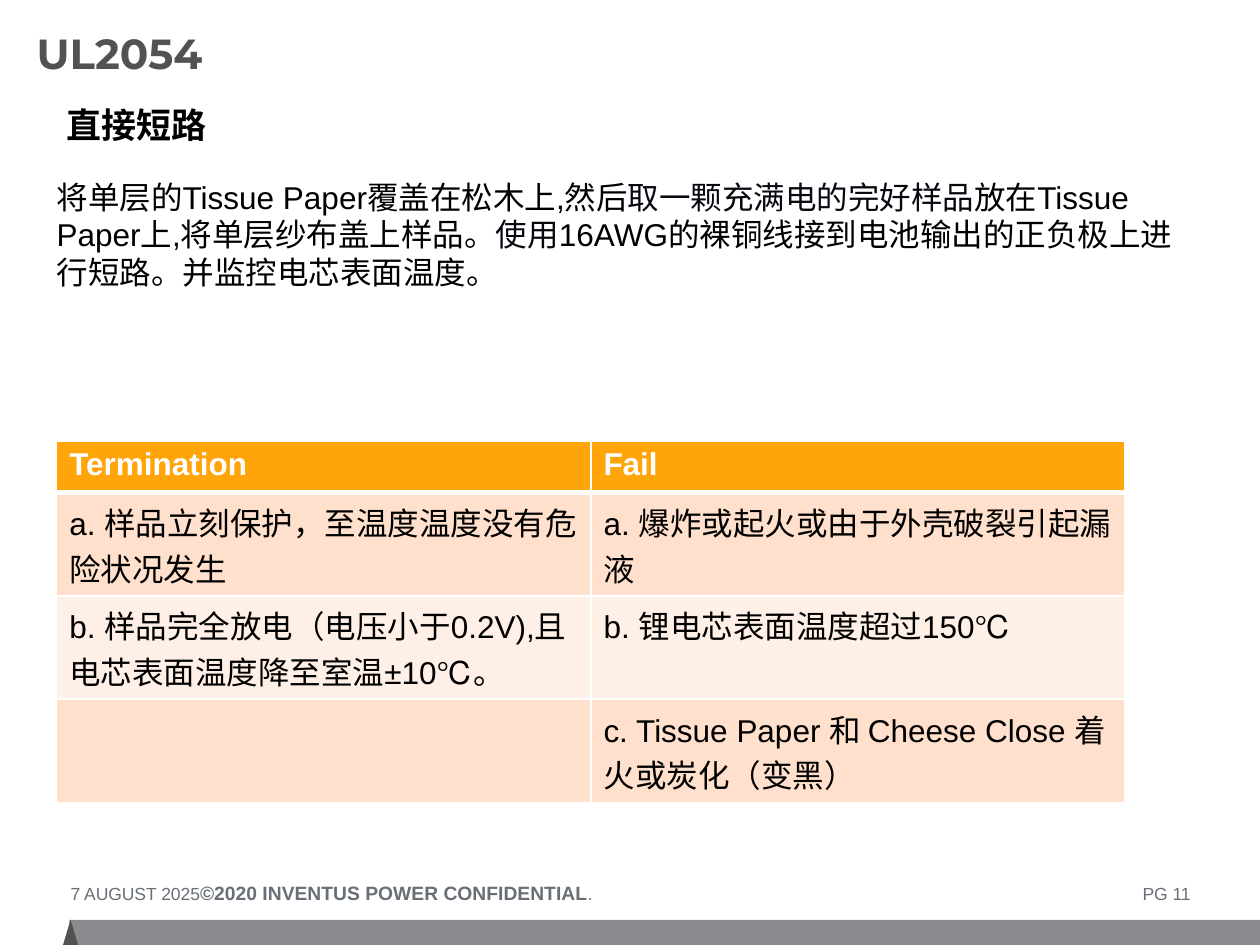
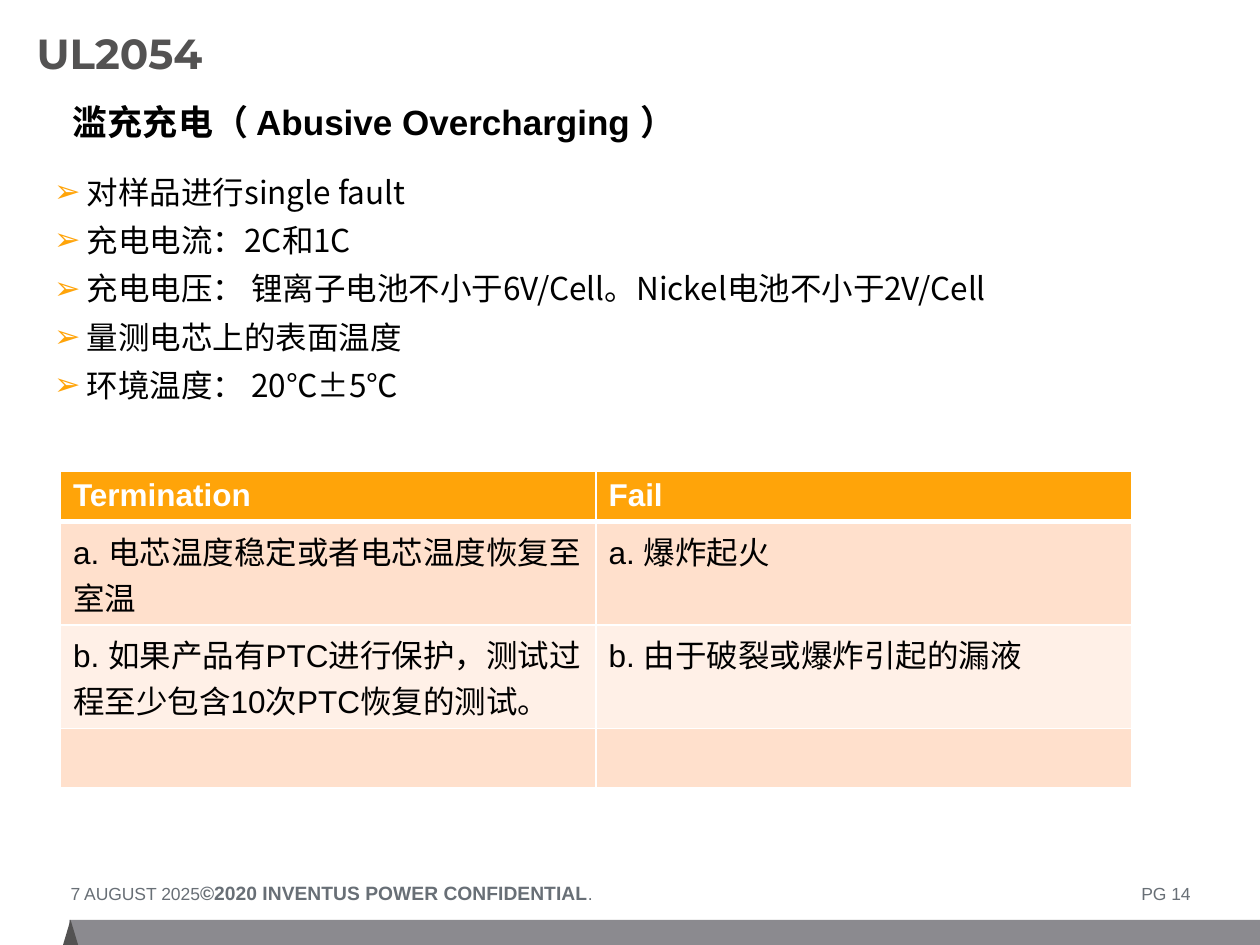
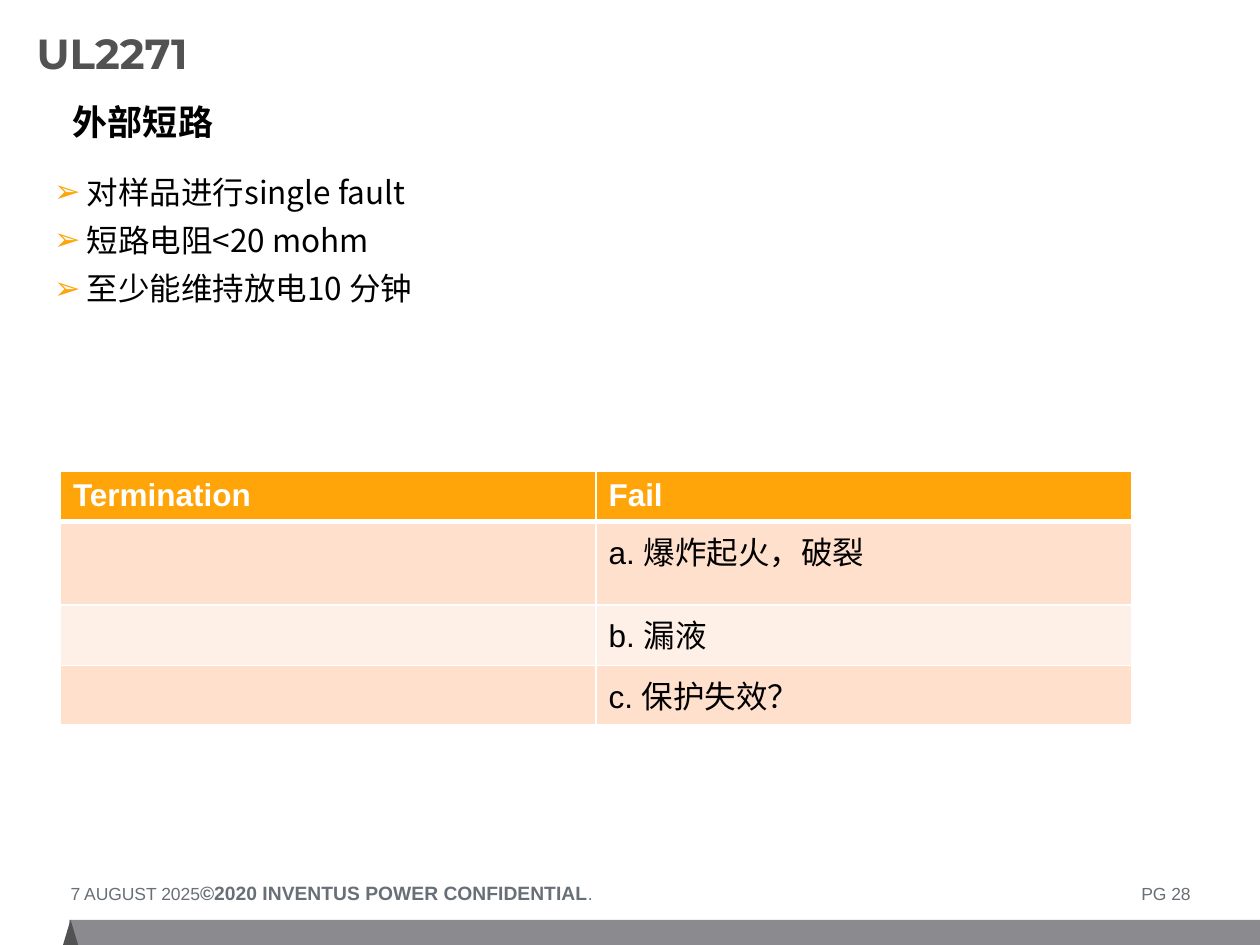
from dataclasses import dataclass

from lxml import etree
from pptx import Presentation
from pptx import util as u
from pptx.dml.color import RGBColor
from pptx.enum import shapes, text
from pptx.oxml import ns

Inches = u.Inches


@dataclass(frozen=True)
class Theme:
    # Colours
    accent: str = "FFA409"
    heading: str = "535252"
    band: str = "8B8A8F"
    footer: str = "686F76"
    ink: str = "000000"
    soft_ink: str = "080910"
    white: str = "FFFFFF"
    row_dark: str = "FFE0CC"
    row_light: str = "FFF0E7"
    # Fonts and type sizes
    latin: str = "Arial"
    chinese: str = "Noto Sans CJK SC"
    title_font: str = "Montserrat"
    title_size: int = 24
    subtitle_size: int = 20
    body_size: int = 18
    copyright_size: int = 11
    footer_size: int = 10


THEME = Theme()


# Text helpers
def add_xml(parent, tag, **attributes):
    return etree.SubElement(parent, ns.qn(tag), attributes)


def add_run(paragraph, content, size=THEME.body_size, font=THEME.latin,
            color=THEME.ink, bold=False):
    run = paragraph.add_run()
    run.text = content
    run.font.size = u.Pt(size)
    run.font.name = font
    run.font.bold = bold
    run.font.color.rgb = RGBColor.from_string(color)
    add_xml(run._r.get_or_add_rPr(), "a:ea", typeface=THEME.chinese)


def add_bullet(paragraph):
    properties = paragraph._p.get_or_add_pPr()
    indent = Inches(0.26)
    properties.set("marL", str(indent))
    properties.set("indent", str(-indent))
    bullet_color = add_xml(properties, "a:buClr")
    add_xml(bullet_color, "a:srgbClr", val=THEME.accent)
    add_xml(properties, "a:buFont", typeface=THEME.latin)
    add_xml(properties, "a:buChar", char="➢")


def add_tabs(paragraph, stops):
    tab_list = add_xml(paragraph._p.get_or_add_pPr(), "a:tabLst")
    for position, alignment in stops:
        add_xml(tab_list, "a:tab", pos=str(Inches(position)), algn=alignment)


def add_text(slide, left, top, width, height, paragraphs, margins=True,
             anchor=text.MSO_ANCHOR.TOP, spacing=None, after=None,
             bullets=False, tabs=(), **run_format):
    """Each paragraph is a string or a list of (string, format) runs."""
    box = slide.shapes.add_textbox(
        Inches(left), Inches(top), Inches(width), Inches(height))
    frame = box.text_frame
    frame.word_wrap = True
    frame.vertical_anchor = anchor
    if not margins:
        frame.margin_left = frame.margin_right = 0
        frame.margin_top = frame.margin_bottom = 0
    for index, content in enumerate(paragraphs):
        paragraph = frame.add_paragraph() if index else frame.paragraphs[0]
        if bullets:
            add_bullet(paragraph)
        if tabs:
            add_tabs(paragraph, tabs)
        if spacing:
            paragraph.line_spacing = spacing
        if after:
            paragraph.space_after = u.Pt(after)
        runs = [(content, {})] if isinstance(content, str) else content
        for part, overrides in runs:
            add_run(paragraph, part, **{**run_format, **overrides})


# Slide frame: footer bands, footer line and headings
def add_band(slide, kind, left, width, color):
    shape = slide.shapes.add_shape(
        kind, Inches(left), Inches(7.3), Inches(width), Inches(0.2))
    shape.shadow.inherit = False
    shape.fill.solid()
    shape.fill.fore_color.rgb = RGBColor.from_string(color)
    shape.line.fill.background()


def add_footer(slide, page):
    add_band(slide, shapes.MSO_SHAPE.RECTANGLE, 0.55, 9.45, THEME.band)
    add_band(slide, shapes.MSO_SHAPE.ISOSCELES_TRIANGLE, 0.5, 0.12,
             THEME.heading)
    line = [
        ("7 AUGUST 2025\t", {}),
        ("©2020 INVENTUS POWER CONFIDENTIAL",
         {"size": THEME.copyright_size, "bold": True}),
        (f".\tPG {page}", {}),
    ]
    add_text(slide, 0.56, 6.99, 8.89, 0.19, [line], margins=False,
             tabs=[(3.38, "dec"), (11.81, "r")],
             size=THEME.footer_size, color=THEME.footer)


def add_slide(presentation, page, title, subtitle, left, top, width):
    slide = presentation.slides.add_slide(presentation.slide_layouts[6])
    add_footer(slide, page)
    add_text(slide, 0.29, 0.14, 7.38, 0.64, [title], margins=False,
             anchor=text.MSO_ANCHOR.MIDDLE, spacing=0.75,
             size=THEME.title_size, font=THEME.title_font,
             color=THEME.heading, bold=True)
    add_text(slide, left, top, width, 0.44, [subtitle],
             size=THEME.subtitle_size, bold=True)
    return slide


def add_body(slide, left, top, paragraphs, **options):
    add_text(slide, left, top, 8.88, 5, paragraphs, margins=False,
             spacing=1.0, after=6, **options)


# Criteria table
def set_borders(cell, bottom):
    properties = cell._tc.get_or_add_tcPr()
    widths = {"a:lnL": 1, "a:lnR": 1, "a:lnT": 1, "a:lnB": bottom}
    for index, (tag, width) in enumerate(widths.items()):
        line = etree.Element(ns.qn(tag), w=str(u.Pt(width)))
        fill = add_xml(line, "a:solidFill")
        add_xml(fill, "a:srgbClr", val=THEME.white)
        properties.insert(index, line)


def add_criteria(slide, left, top, column_width, row_heights, criteria):
    rows = [("Termination", "Fail"), *criteria]
    table = slide.shapes.add_table(
        len(rows), 2, Inches(left), Inches(top),
        Inches(2 * column_width), Inches(sum(row_heights))).table
    for column in table.columns:
        column.width = Inches(column_width)
    for row_index, contents in enumerate(rows):
        table.rows[row_index].height = Inches(row_heights[row_index])
        header = row_index == 0
        stripe = THEME.row_dark if row_index % 2 else THEME.row_light
        for column_index, content in enumerate(contents):
            cell = table.cell(row_index, column_index)
            cell.fill.solid()
            cell.fill.fore_color.rgb = RGBColor.from_string(
                THEME.accent if header else stripe)
            # The rule under the header is heavier
            set_borders(cell, bottom=3 if header else 1)
            paragraph = cell.text_frame.paragraphs[0]
            if content:
                add_run(paragraph, content, bold=header,
                        color=THEME.white if header else THEME.ink)
            else:
                paragraph.font.size = u.Pt(THEME.body_size)


def add_bullet_slide(presentation, page, title, subtitle, bullets,
                     row_heights, criteria):
    slide = add_slide(presentation, page, title, subtitle, 0.48, 0.75, 5.82)
    add_body(slide, 0.43, 1.37, bullets, bullets=True, font=THEME.chinese)
    add_criteria(slide, 0.48, 3.74, 4.25, row_heights, criteria)


def main():
    presentation = Presentation()
    presentation.slide_width = Inches(10)
    presentation.slide_height = Inches(7.5)

    # Direct short circuit
    slide = add_slide(presentation, 11, "UL2054", "直接短路", 0.43, 0.77, 3.38)
    soft = {"color": THEME.soft_ink}
    add_body(slide, 0.45, 1.41, [[
        ("将单层的Tissue Paper覆盖在松木上,然后", {}),
        ("取一颗充满电的完好样品", soft),
        ("放在Tissue Paper上", {}),
        (",", soft),
        ("将单层纱布盖上样品。", {}),
        ("使用", soft),
        ("16AWG的裸铜线接到电池输出的正负极上进行短路。并监控电芯表面温度。", {}),
    ]])
    add_criteria(slide, 0.45, 3.5, 4.24, [0.41, 0.82, 0.82, 0.82], [
        ("a. 样品立刻保护，至温度温度没有危险状况发生",
         "a. 爆炸或起火或由于外壳破裂引起漏液"),
        ("b. 样品完全放电（电压小于0.2V),且电芯表面温度降至室温±10℃。",
         "b. 锂电芯表面温度超过150℃"),
        ("", "c. Tissue Paper 和 Cheese Close 着火或炭化（变黑）"),
    ])

    # Abusive overcharging
    add_bullet_slide(
        presentation, 14, "UL2054", "滥充充电（ Abusive Overcharging ）",
        ["对样品进行single fault",
         "充电电流：2C和1C",
         "充电电压： 锂离子电池不小于6V/Cell。Nickel电池不小于2V/Cell",
         "量测电芯上的表面温度",
         "环境温度： 20℃±5℃"],
        [0.37, 0.82, 0.82, 0.47],
        [("a. 电芯温度稳定或者电芯温度恢复至室温", "a. 爆炸起火"),
         ("b. 如果产品有PTC进行保护，测试过程至少包含10次PTC恢复的测试。",
          "b. 由于破裂或爆炸引起的漏液"),
         ("", "")])

    # External short circuit
    add_bullet_slide(
        presentation, 28, "UL2271", "外部短路",
        ["对样品进行single fault",
         "短路电阻<20 mohm",
         "至少能维持放电10 分钟"],
        [0.37, 0.66, 0.48, 0.47],
        [("", "a. 爆炸起火，破裂"),
         ("", "b. 漏液"),
         ("", "c. 保护失效？")])

    presentation.save("out.pptx")


if __name__ == "__main__":
    main()
